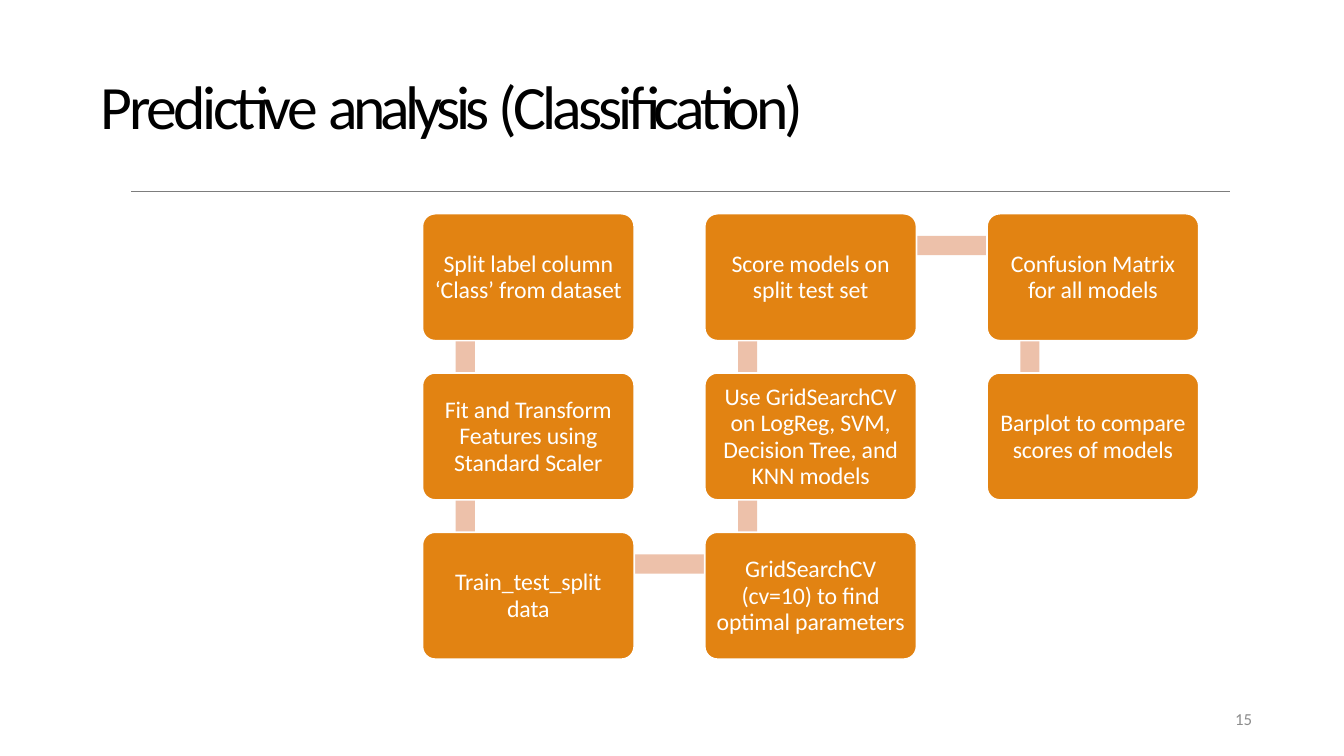
from pptx import Presentation
from pptx.dml.color import RGBColor
from pptx.enum.shapes import MSO_CONNECTOR, MSO_SHAPE
from pptx.enum.text import MSO_ANCHOR as ANCHOR, PP_ALIGN as ALIGN
from pptx.util import Inches, Pt
from lxml import etree

TITLE = [("Predictive ", -2.5), ("analysis ", -3.5), ("(Classification)", -2.8)]
STEPS = [
    (0, 0, ["Split label column", "‘Class’ from dataset"]),
    (0, 1, ["Fit and Transform", "Features using", "Standard Scaler"]),
    (0, 2, ["Train_test_split", "data"]),
    (1, 2, ["GridSearchCV", "(cv=10) to find", "optimal parameters"]),
    (1, 1, ["Use GridSearchCV", "on LogReg, SVM,", "Decision Tree, and", "KNN models"]),
    (1, 0, ["Score models on", "split test set"]),
    (2, 0, ["Confusion Matrix", "for all models"]),
    (2, 1, ["Barplot to compare", "scores of models"]),
]
PAGE = "15"

BLACK = RGBColor(0x00, 0x00, 0x00)
WHITE = RGBColor(0xFF, 0xFF, 0xFF)
GRAY = RGBColor(0x8C, 0x8C, 0x8C)
RULE = RGBColor(0x7D, 0x7D, 0x7D)
ORANGE = RGBColor(0xE2, 0x83, 0x12)
PEACH = RGBColor(0xED, 0xC1, 0xAA)

LEFT, TOP = 4.19, 2.12
COL, ROW = 2.8, 1.58
BOX_W, BOX_H = 2.1, 1.26
BAR = 0.19


def frame(tf, anchor=ANCHOR.MIDDLE):
    fmt = dict(word_wrap=True, vertical_anchor=anchor, margin_left=0,
               margin_right=0, margin_top=0, margin_bottom=0)
    for name, value in fmt.items():
        setattr(tf, name, value)
    return tf.paragraphs[0]


def style(r, size, color, spacing=0):
    for name, value in dict(name="Calibri", size=Pt(size)).items():
        setattr(r.font, name, value)
    r.font.color.rgb = color
    r._r.get_or_add_rPr().set("spc", str(round(spacing * 100)))


def block(s, kind, box, fill):
    sp = s.shapes.add_shape(kind, *map(Inches, box))
    sp.shadow.inherit = False
    sp.fill.solid()
    sp.fill.fore_color.rgb = fill
    sp.line.fill.background()
    return sp


def add_title(s):
    sp = s.shapes.title
    for name, value in dict(left=1, top=0.59, width=8.66, height=0.9).items():
        setattr(sp, name, Inches(value))
    p = frame(sp.text_frame)
    p.alignment = ALIGN.LEFT
    for text, spacing in TITLE:
        r = p.add_run()
        r.text = text
        style(r, 44, BLACK, spacing)


def add_rule(s):
    line = s.shapes.add_connector(MSO_CONNECTOR.STRAIGHT, *map(Inches, (1.3, 1.9, 12.2, 1.9)))
    line.line.color.rgb = RULE
    line.line.width = Pt(0.48)
    ns = "http://schemas.openxmlformats.org/drawingml/2006/main"
    etree.SubElement(line._element.spPr, f"{{{ns}}}effectLst")


def add_bar(s, start, end):
    x = LEFT + COL * start[0]
    y = TOP + ROW * min(start[1], end[1])
    if start[0] == end[0]:
        box = (x + 0.33, y + 0.32, BAR, ROW)
    else:
        box = (x + 0.43, y + 0.22, COL, BAR)
    block(s, MSO_SHAPE.RECTANGLE, box, PEACH)


def add_step(s, col, row, lines):
    box = (LEFT + COL * col, TOP + ROW * row, BOX_W, BOX_H)
    sp = block(s, MSO_SHAPE.ROUNDED_RECTANGLE, box, ORANGE)
    sp.adjustments[0] = 0.1
    sp.line.color.rgb = WHITE
    sp.line.width = Pt(1.2)
    p = frame(sp.text_frame)
    p.text = "\v".join(lines)
    p.alignment = ALIGN.CENTER
    p.line_spacing = Pt(19)
    for r in p.runs:
        style(r, 17, WHITE, -0.1)


def add_page(s):
    sp = s.shapes.add_textbox(*map(Inches, (9.42, 6.95, 3, 0.4)))
    p = frame(sp.text_frame)
    p.text = PAGE
    p.alignment = ALIGN.RIGHT
    p.line_spacing = Pt(11)
    style(p.runs[0], 12, GRAY)


def main():
    prs = Presentation()
    prs.slide_width, prs.slide_height = Inches(13.33), Inches(7.5)
    s = prs.slides.add_slide(prs.slide_layouts[5])
    add_title(s)
    add_rule(s)
    for start, end in zip(STEPS, STEPS[1:]):
        add_bar(s, start, end)
    for step in STEPS:
        add_step(s, *step)
    add_page(s)
    prs.save("out.pptx")


if __name__ == "__main__":
    main()
